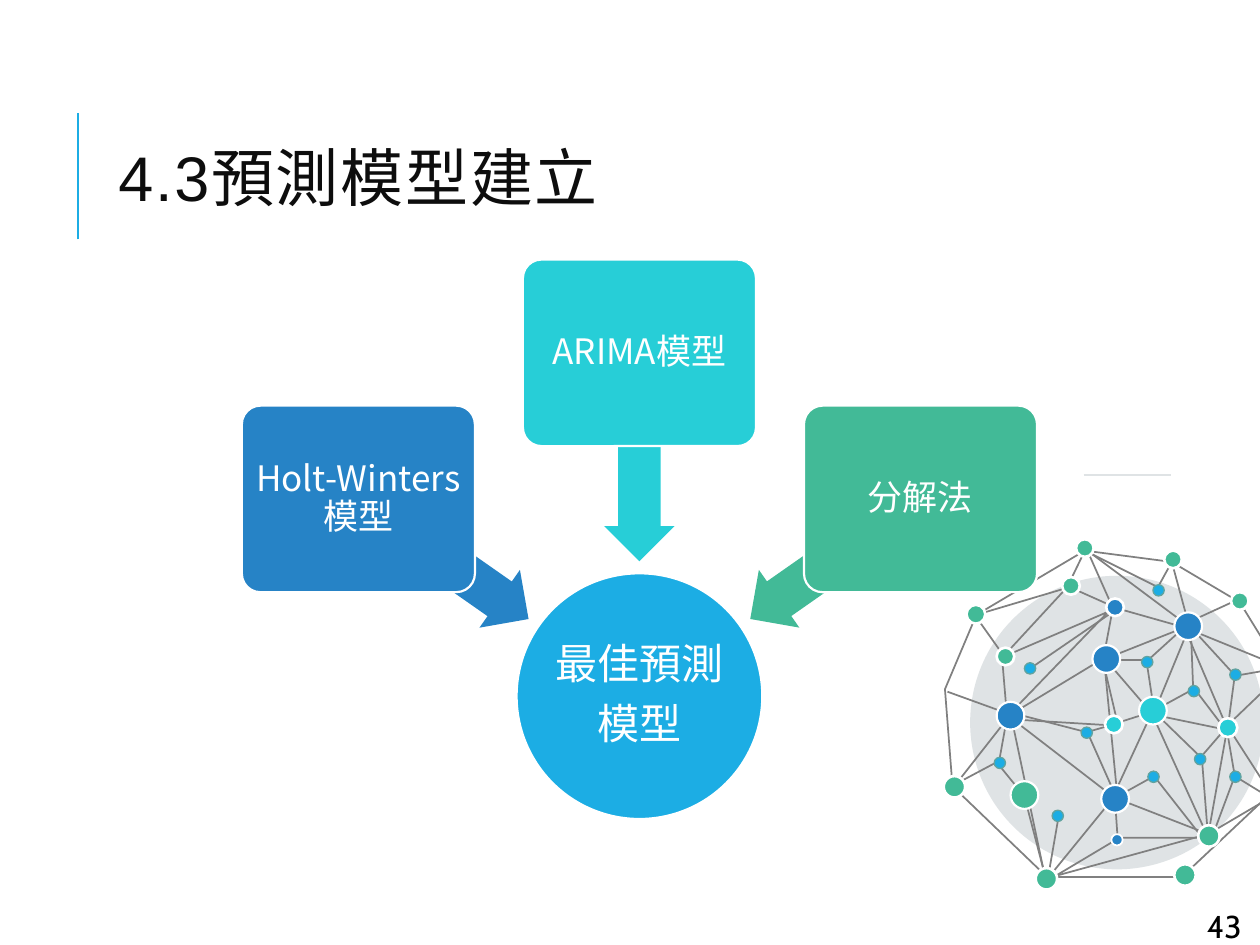
from lxml import etree
from pptx import Presentation
from pptx.dml.color import RGBColor
from pptx.enum.shapes import MSO_CONNECTOR, MSO_SHAPE
from pptx.enum.text import MSO_ANCHOR, PP_ALIGN
from pptx.oxml.ns import qn
from pptx.util import Pt

STRAIGHT = MSO_CONNECTOR.STRAIGHT
OVAL, ROUNDED, ARROW = MSO_SHAPE.OVAL, MSO_SHAPE.ROUNDED_RECTANGLE, MSO_SHAPE.LEFT_ARROW
TOP, MIDDLE = MSO_ANCHOR.TOP, MSO_ANCHOR.MIDDLE
LEFT, CENTER = PP_ALIGN.LEFT, PP_ALIGN.CENTER

THEME = dict(
    sky="1CADE4", blue="2683C6", cyan="27CED7", green="42BA97", white="FFFFFF",
    ink="0D0D0D", black="000000", pale="DFE3E5", mesh="808080", rim="62A39F",
    latin="Arial", cjk="Noto Sans CJK SC", number="Cabin",
    title_size=36, goal_size=24, model_size=20, number_size=18,
)

TITLE = "4.3預測模型建立"
PAGE_NUMBER = "43"
GOAL = ["最佳預測", "模型"]
# Model, colour, column from the centre, box top, arrow top, arrow rotation
MODELS = [
    ("Holt-Winters 模型", "blue", -1, 231.8, 299.5, 215),
    ("ARIMA模型", "cyan", 0, 148.3, 241.2, 270),
    ("分解法", "green", 1, 231.8, 299.5, 325),
]
CENTER_X = 365.4
BOX_W, BOX_H, BOX_STEP = 133.2, 106.6, 160.6
ARROW_W, ARROW_H, ARROW_STEP = 118.8, 40.3, 112
GOAL_TOP, GOAL_SIZE = 327.6, 140.4

# The network is laid out on a grid of 1000 by 750 units over the slide
GRID = 0.72
GLOBE = (770, 457, 233)
OPEN_PATHS = [
    [(949, 548), (974, 581), (980, 536), (948, 501)],
    [(956, 667), (916, 616), (889, 631), (885, 635), (887, 665), (959, 665), (915, 568),
     (945, 495), (947, 547), (916, 564), (910, 525), (942, 496), (859, 434)],
    [(775, 488), (849, 466), (887, 483), (940, 498), (1021, 531), (974, 576),
     (1010, 632), (959, 662), (835, 696)],
    [(775, 490), (797, 521), (883, 484), (876, 521), (887, 634), (959, 662), (974, 578),
     (940, 498), (877, 523), (914, 566), (883, 633), (883, 634), (830, 699), (802, 566),
     (883, 482), (863, 437)],
    [(795, 518), (799, 566), (752, 549)],
    [(799, 518), (847, 466), (861, 437), (863, 438), (919, 466), (930, 446),
     (943, 494), (980, 477)],
    [(800, 568), (887, 635), (863, 581), (887, 574), (875, 523), (804, 566), (862, 581)],
    [(840, 649), (831, 701), (813, 632), (791, 605), (759, 622), (799, 571), (793, 604)],
    [(961, 667), (980, 616), (974, 581)],
]
CLOSED_PATHS = [
    [(861, 437), (930, 446), (984, 478), (1016, 530), (1006, 632), (938, 696),
     (831, 696), (756, 624), (750, 547), (775, 488)],
    [(919, 568), (953, 601), (972, 579)],
]
LINKS = [
    ((887, 483), (817, 531)), ((887, 576), (804, 571)), ((1011, 531), (977, 537)),
    ((1011, 635), (980, 616)), ((954, 603), (959, 667)), ((885, 667), (828, 701)),
    ((911, 524), (880, 524)), ((911, 566), (889, 573)),
]
# Fill, rim, rim width, diameter, left and top of each node
NODES = [
    ("sky", "rim", 0.75, 9, [(915, 464), (976, 531), (943, 544), (906, 521), (858, 577),
                             (813, 526), (789, 601), (835, 643), (911, 612), (948, 598),
                             (976, 612)]),
    ("blue", "white", 1, 9, [(882, 662)]),
    ("blue", "white", 1.25, 22, [(932, 486), (867, 512), (791, 557), (874, 623)]),
    ("blue", "white", 1.5, 14, [(878, 475)]),
    ("cyan", "white", 1.25, 22, [(904, 553)]),
    ("cyan", "white", 1.5, 14, [(877, 568)]),
    ("cyan", "white", 1.5, 15, [(967, 570)]),
    ("green", "white", 1.5, 17, [(749, 616), (822, 689), (932, 686), (951, 655)]),
    ("green", "white", 1.5, 14, [(977, 470), (924, 437), (854, 428), (791, 514), (843, 458)]),
    ("green", "white", 1.5, 15, [(767, 480)]),
    ("green", "white", 1.25, 22, [(802, 620)]),
]


def color(name):
    return RGBColor.from_string(THEME[name])


def grid(*values):
    return [value * GRID for value in values]


def add_shape(shapes, kind, box, fill, rim=None, rim_width=1.25):
    shape = shapes.add_shape(kind, *map(Pt, box))
    shape.shadow.inherit = False
    shape.fill.solid()
    shape.fill.fore_color.rgb = color(fill)
    if rim:
        shape.line.color.rgb = color(rim)
        shape.line.width = Pt(rim_width)
    else:
        shape.line.fill.background()
    return shape


def add_line(shapes, start, end, stroke, width):
    line = shapes.add_connector(STRAIGHT, *map(Pt, (*start, *end)))
    line.line.color.rgb = color(stroke)
    line.line.width = Pt(width)
    etree.SubElement(line._element.spPr, qn("a:effectLst"))


def add_path(shapes, points, closed):
    corners = [tuple(map(Pt, grid(*point))) for point in points]
    builder = shapes.build_freeform(*corners[0])
    builder.add_line_segments(corners[1:], close=closed)
    path = builder.convert_to_shape()
    path.shadow.inherit = False
    path.fill.background()
    path.line.color.rgb = color("mesh")
    path.line.width = Pt(1)


def write(shape, lines, *, font, size, ink="white", align=CENTER, anchor=MIDDLE,
          inset=None, line_spacing=None, space_after=0, tracking=None):
    frame = shape.text_frame
    frame.word_wrap = True
    frame.vertical_anchor = anchor
    if inset is not None:
        frame.margin_left = frame.margin_right = Pt(inset)
        frame.margin_top = frame.margin_bottom = Pt(inset)
    for index, line in enumerate(lines):
        paragraph = frame.add_paragraph() if index else frame.paragraphs[0]
        paragraph.alignment = align
        paragraph.line_spacing = line_spacing
        paragraph.space_after = Pt(space_after)
        run = paragraph.add_run()
        run.text = line
        run.font.name = THEME[font]
        run.font.size = Pt(THEME[size])
        run.font.color.rgb = color(ink)
        if tracking:
            run.font._element.set("spc", str(tracking * 100))


def add_network(shapes):
    add_shape(shapes, OVAL, grid(*GLOBE, GLOBE[2]), "pale")
    for points in OPEN_PATHS:
        add_path(shapes, points, False)
    for points in CLOSED_PATHS:
        add_path(shapes, points, True)
    for start, end in LINKS:
        add_line(shapes, grid(*start), grid(*end), "mesh", 1)
    for fill, rim, rim_width, diameter, places in NODES:
        for place in places:
            add_shape(shapes, OVAL, grid(*place, diameter, diameter), fill, rim, rim_width)


def add_models(shapes):
    goal = add_shape(shapes, OVAL,
                     (CENTER_X - GOAL_SIZE / 2, GOAL_TOP, GOAL_SIZE, GOAL_SIZE),
                     "sky", "white")
    write(goal, GOAL, font="latin", size="goal_size", inset=1.5,
          line_spacing=0.9, space_after=8.4)
    for name, fill, column, box_top, arrow_top, rotation in MODELS:
        arrow_left = CENTER_X + column * ARROW_STEP - ARROW_W / 2
        arrow = add_shape(shapes, ARROW, (arrow_left, arrow_top, ARROW_W, ARROW_H), fill)
        arrow.rotation = rotation
        arrow.adjustments[0], arrow.adjustments[1] = 0.6, 0.5
        box_left = CENTER_X + column * BOX_STEP - BOX_W / 2
        box = add_shape(shapes, ROUNDED, (box_left, box_top, BOX_W, BOX_H), fill, "white")
        box.adjustments[0] = 0.1
        write(box, [name], font="cjk", size="model_size", inset=3,
              line_spacing=0.9, space_after=7)


def main():
    deck = Presentation()
    deck.slide_width, deck.slide_height = Pt(720), Pt(540)
    slide = deck.slides.add_slide(deck.slide_layouts[5])
    shapes = slide.shapes

    title = shapes.title
    title.left, title.top, title.width, title.height = map(Pt, (60.5, 46, 574, 118))
    write(title, [TITLE], font="latin", size="title_size", ink="ink", align=LEFT,
          line_spacing=0.8, tracking=1)
    add_line(shapes, (44.6, 136.8), (44.6, 64.8), "sky", 1.5)

    add_network(shapes.add_group_shape().shapes)
    add_line(shapes, (619.2, 271.4), (668.9, 271.4), "pale", 0.75)
    number = shapes.add_textbox(*map(Pt, (682.6, 514.8, 57.6, 21.6)))
    write(number, [PAGE_NUMBER], font="number", size="number_size", ink="black",
          align=LEFT, anchor=TOP)
    add_models(shapes.add_group_shape().shapes)

    deck.save("out.pptx")


if __name__ == "__main__":
    main()
